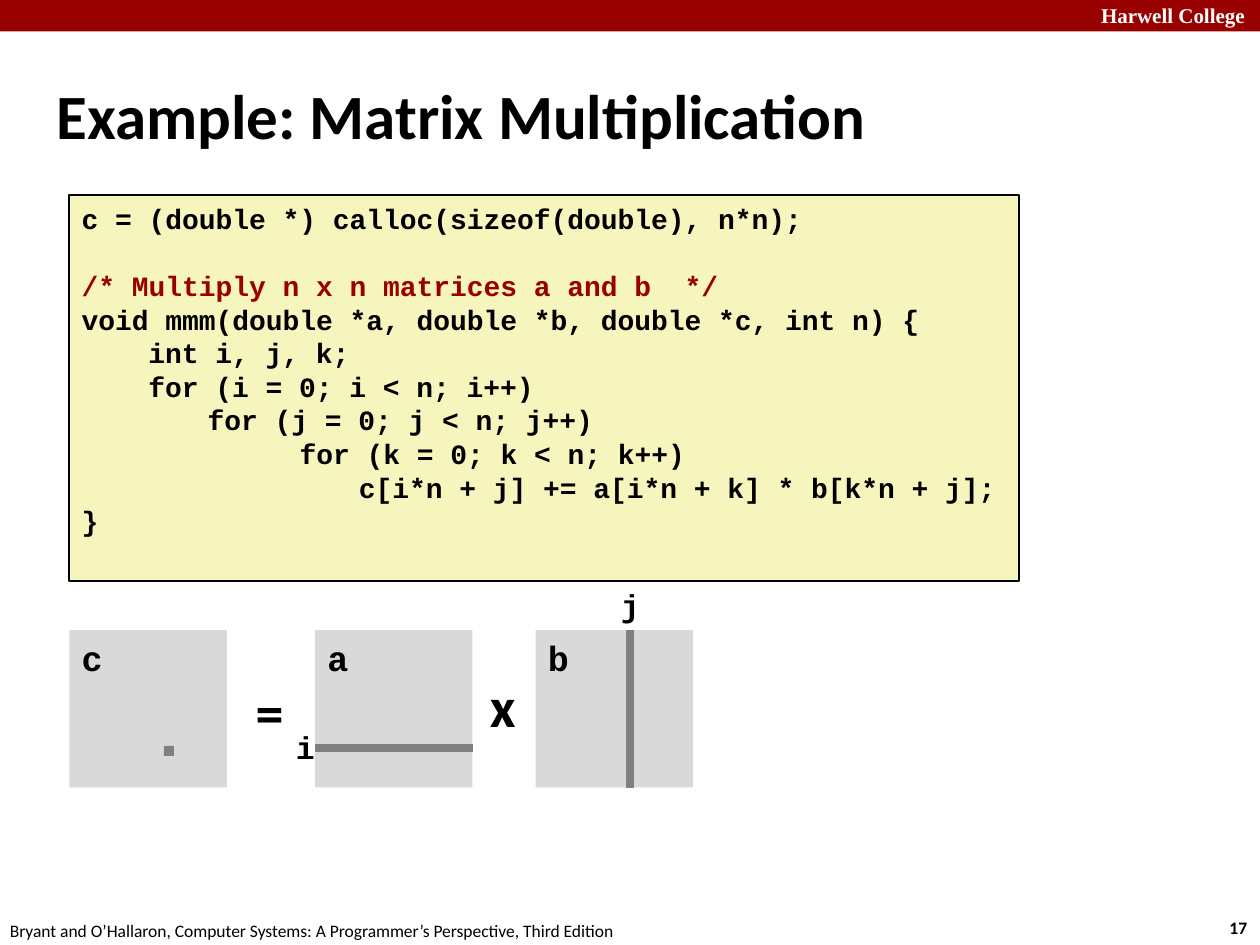
from pptx import Presentation
from pptx.dml.color import RGBColor
from pptx.enum.shapes import MSO_CONNECTOR as CONN, MSO_SHAPE as SHAPE
from pptx.enum.text import MSO_ANCHOR as ANCHOR, PP_ALIGN as ALIGN
from pptx.oxml.ns import qn
from pptx.util import Inches, Pt
from lxml import etree

COLORS = {
    "red": "990000", "white": "FFFFFF", "black": "000000",
    "code": "F6F5BD", "matrix": "D9D9D9", "mark": "808080",
}
MONO, SANS, SERIF = "Courier New", "Calibri", "Times New Roman"
LINE_PITCH = 19.2  # points per line of code

# Code lines: indent in inches, blank lines before, colour, text
CODE = [
    (0, 0, "black", "c = (double *) calloc(sizeof(double), n*n);"),
    (0, 1, "red", "/* Multiply n x n matrices a and b  */"),
    (0, 0, "black", "void mmm(double *a, double *b, double *c, int n) {"),
    (0.53, 0, "black", "int i, j, k;"),
    (0.53, 0, "black", "for (i = 0; i < n; i++)"),
    (1, 0, "black", "for (j = 0; j < n; j++)"),
    (1.73, 0, "black", "for (k = 0; k < n; k++)"),
    (2.2, 0, "black", "c[i*n + j] += a[i*n + k] * b[k*n + j];"),
    (0, 0, "black", "}"),
]


def rgb(name):
    return RGBColor.from_string(COLORS[name])


def add_run(p, text, size, font, color="black", bold=True):
    r = p.add_run()
    r.text = text
    r.font.size, r.font.name, r.font.bold = Pt(size), font, bold
    r.font.color.rgb = rgb(color)


def add_label(s, x, y, w, h, text, size, font, color="black", bold=True):
    tf = s.shapes.add_textbox(Inches(x), Inches(y), Inches(w), Inches(h)).text_frame
    tf.word_wrap = False
    add_run(tf.paragraphs[0], text, size, font, color, bold)
    return tf


def add_box(s, x, y, w, h, fill, line=None):
    sp = s.shapes.add_shape(SHAPE.RECTANGLE, Inches(x), Inches(y), Inches(w), Inches(h))
    sp.shadow.inherit = False
    sp.fill.solid()
    sp.fill.fore_color.rgb = rgb(fill)
    if line:
        sp.line.color.rgb = rgb(line)
        sp.line.width = Pt(1)
    else:
        sp.line.fill.background()
    sp.text_frame.vertical_anchor = ANCHOR.TOP
    sp.text_frame.paragraphs[0].alignment = ALIGN.LEFT
    return sp


def add_matrix(s, x, name):
    sp = add_box(s, x, 5, 1.25, 1.25, "matrix")
    add_run(sp.text_frame.paragraphs[0], name, 20, MONO)


def add_bar(s, x1, y1, x2, y2):
    line = s.shapes.add_connector(CONN.STRAIGHT, Inches(x1), Inches(y1), Inches(x2), Inches(y2))
    line.line.color.rgb = rgb("mark")
    line.line.width = Pt(4.5)
    etree.SubElement(line._element.spPr, qn("a:effectLst"))


def add_code(s, x, y, w, h):
    tf = add_box(s, x, y, w, h, "code", "black").text_frame
    tf.word_wrap = True
    for n, (indent, blanks, color, text) in enumerate(CODE):
        p = tf.paragraphs[0] if n == 0 else tf.add_paragraph()
        p.alignment = ALIGN.LEFT
        p.line_spacing = Pt(LINE_PITCH)
        p.space_before = Pt(blanks * LINE_PITCH)
        p._p.get_or_add_pPr().set("marL", str(Inches(indent)))
        add_run(p, text, 16, MONO, color)


def main():
    prs = Presentation()
    prs.slide_width, prs.slide_height = Inches(10), Inches(7.5)
    s = prs.slides.add_slide(prs.slide_layouts[6])

    # Header band and footer
    add_box(s, 0, 0, 10, 0.25, "red")
    add_label(s, 8.64, -0.03, 1.43, 0.3, "Harwell College", 12, SERIF, "white")
    add_label(s, 9.66, 7.23, 0.37, 0.27, "17", 10, SANS)
    add_label(s, -0.02, 7.25, 5.08, 0.27,
              "Bryant and O’Hallaron, Computer Systems: A Programmer’s Perspective, Third Edition",
              10, SANS, bold=False)

    # Title
    title = add_label(s, 0.35, 0.49, 8.3, 0.83, "Example: Matrix Multiplication", 36, SANS)
    title.word_wrap = True
    title.vertical_anchor = ANCHOR.MIDDLE

    # Matrix equation c = a x b
    for x, name in ((0.55, "c"), (2.5, "a"), (4.25, "b")):
        add_matrix(s, x, name)
    add_label(s, 1.93, 5.33, 0.43, 0.64, "=", 32, SANS)
    add_label(s, 3.79, 5.28, 0.41, 0.64, "x", 32, SANS)

    # Row i, column j and the resulting element
    add_bar(s, 2.5, 5.94, 3.75, 5.94)
    add_bar(s, 5, 5, 5, 6.25)
    add_label(s, 2.25, 5.73, 0.35, 0.4, "i", 18, MONO)
    add_label(s, 4.83, 4.6, 0.35, 0.4, "j", 18, MONO)
    add_box(s, 1.3, 5.92, 0.08, 0.08, "mark")

    # Code listing
    add_code(s, 0.55, 1.55, 7.54, 3.06)

    prs.save("out.pptx")


if __name__ == "__main__":
    main()
